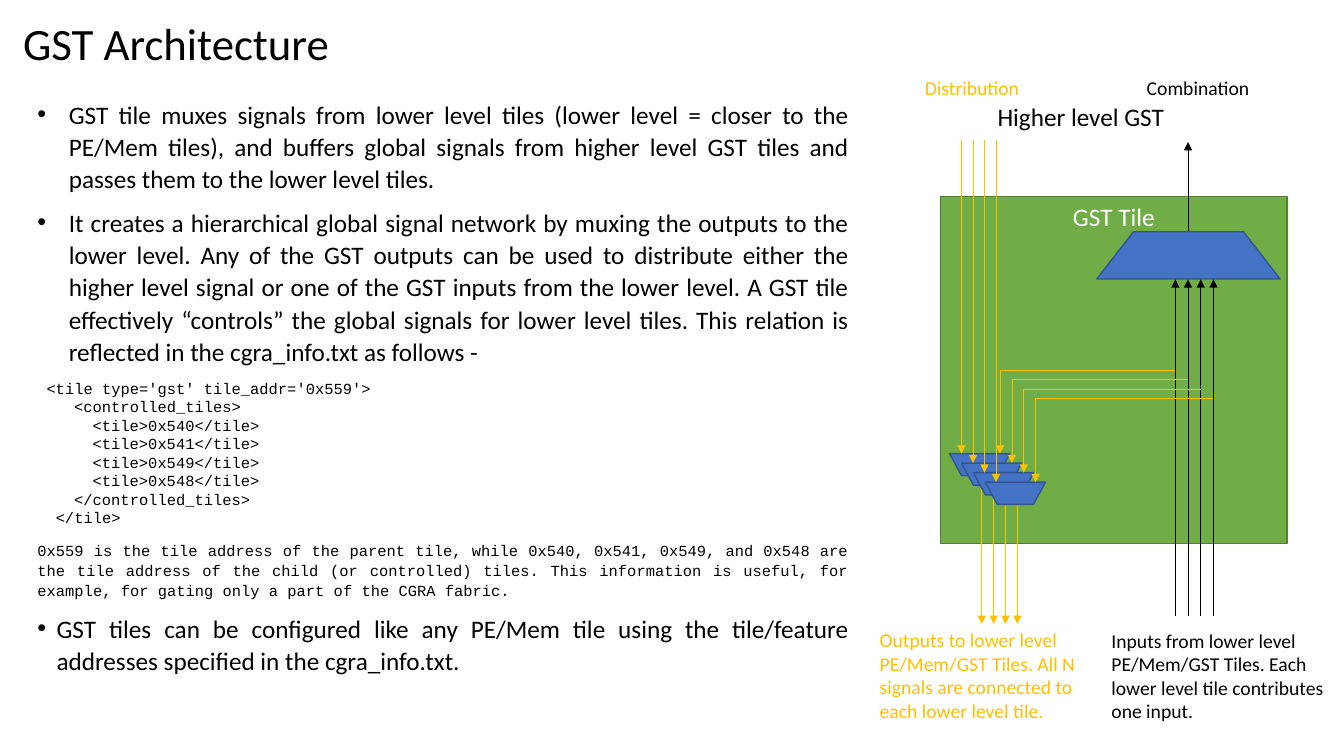
from pptx import Presentation
from pptx import util as u
from pptx.dml.color import RGBColor
from pptx.enum import shapes, text
from pptx.oxml.ns import qn
from lxml import etree

THEME = {
    "black": RGBColor.from_string("000000"),
    "white": RGBColor.from_string("FFFFFF"),
    "gold": RGBColor.from_string("FFC000"),
    "tile": (RGBColor.from_string("70AD47"), RGBColor.from_string("538035")),
    "mux": (RGBColor.from_string("4472C4"), RGBColor.from_string("325491")),
    "sans": "Calibri", "mono": "Courier New",
    "title": u.Pt(32), "body": u.Pt(18), "label": u.Pt(14), "code": u.Pt(11),
    "shape_line": u.Pt(1), "signal_line": u.Pt(0.5),
}
LEFT, CENTER, JUSTIFY = text.PP_ALIGN.LEFT, text.PP_ALIGN.CENTER, text.PP_ALIGN.JUSTIFY


def write(paragraph, words, size, color="black", font="sans", **layout):
    """Put one formatted run in a paragraph and apply its layout values."""
    run = paragraph.add_run()
    run.text = words
    for name, value in {"name": THEME[font], "size": THEME[size]}.items():
        setattr(run.font, name, value)
    run.font.color.rgb = THEME[color]
    for name, value in layout.items():
        setattr(paragraph, name, value)


def draw_signal(x1, y1, x2, y2, color, arrow=True):
    """Draw a thin signal line in cm, with an arrowhead at its end if asked."""
    line = slide.shapes.add_connector(shapes.MSO_CONNECTOR.STRAIGHT,
                                      u.Cm(x1), u.Cm(y1), u.Cm(x2), u.Cm(y2))
    line.line.color.rgb = THEME[color]
    line.line.width = THEME["signal_line"]
    properties = line._element.spPr
    if arrow:
        etree.SubElement(properties.find(qn("a:ln")), qn("a:tailEnd"), type="triangle")
    etree.SubElement(properties, qn("a:effectLst"))


presentation = Presentation()
presentation.slide_width, presentation.slide_height = u.Cm(33.87), u.Cm(19.05)
slide = presentation.slides.add_slide(presentation.slide_layouts[1])

# Title and body
title, body = slide.placeholders
for placeholder, box in ((title, (0.33, 0.28, 16.61, 1.63)), (body, (0.69, 2.31, 20.96, 14.91))):
    for name, value in zip(("left", "top", "width", "height"), box):
        setattr(placeholder, name, u.Cm(value))
    placeholder.text_frame.auto_size = text.MSO_AUTO_SIZE.NONE
    placeholder.text_frame.vertical_anchor = text.MSO_ANCHOR.TOP
write(title.text_frame.paragraphs[0], "GST Architecture", "title", alignment=LEFT)

# Each entry: words, size, font, hanging indent in cm, space before in points
body_paragraphs = [
    ("GST tile muxes signals from lower level tiles (lower level = closer to the PE/Mem tiles), "
     "and buffers global signals from higher level GST tiles and passes them to the lower level "
     "tiles.", "body", "sans", 0.79, 0),
    ("It creates a hierarchical global signal network by muxing the outputs to the lower level. "
     "Any of the GST outputs can be used to distribute either the higher level signal or one of "
     "the GST inputs from the lower level. A GST tile effectively “controls” the global signals "
     "for lower level tiles. This relation is reflected in the cgra_info.txt as follows -",
     "body", "sans", 0.79, 0),
    ("0x559 is the tile address of the parent tile, while 0x540, 0x541, 0x549, and 0x548 are the "
     "tile address of the child (or controlled) tiles. This information is useful, for example, "
     "for gating only a part of the CGRA fabric.", "code", "mono", 0, 116),
    ("GST tiles can be configured like any PE/Mem tile using the tile/feature addresses "
     "specified in the cgra_info.txt.", "body", "sans", 0.48, 0),
]
for index, (words, size, font, indent, before) in enumerate(body_paragraphs):
    frame = body.text_frame
    paragraph = frame.add_paragraph() if index else frame.paragraphs[0]
    write(paragraph, words, size, font=font, alignment=JUSTIFY, line_spacing=1.07,
          space_before=u.Pt(before), space_after=u.Pt(8))
    properties = paragraph._p.get_or_add_pPr()
    properties.set("marL", str(u.Cm(indent)))
    properties.set("indent", str(-u.Cm(indent)))
    if indent:
        etree.SubElement(properties, qn("a:buFont"), typeface="Arial")
        etree.SubElement(properties, qn("a:buChar"), char="•")
    else:
        etree.SubElement(properties, qn("a:buNone"))

# GST tile, combining mux and the stack of distributing muxes
MANUAL = shapes.MSO_SHAPE.FLOWCHART_MANUAL_OPERATION
STACK, INPUT_STEP, LAYER_X, LAYER_Y = 4, 0.32, 0.3, 0.24
blocks = [(shapes.MSO_SHAPE.RECTANGLE, "tile", 0, (23.7, 4.95, 8.74, 8.74)),
          (MANUAL, "mux", 180, (27.64, 5.84, 4.62, 1.19))]
blocks += [(MANUAL, "mux", 0, (23.93 + LAYER_X * layer, 11.43 + LAYER_Y * layer, 1.52, 0.56))
           for layer in range(STACK)]
for index, (kind, colors, rotation, box) in enumerate(blocks):
    layer = index - 2
    if layer >= 0:
        draw_signal(24.74 + LAYER_X * layer, 11.86 + LAYER_Y * layer,
                    24.74 + LAYER_X * layer, 15.72, "gold")
    block = slide.shapes.add_shape(kind, *map(u.Cm, box))
    block.rotation = rotation
    block.shadow.inherit = False
    block.fill.solid()
    block.fill.fore_color.rgb, block.line.color.rgb = THEME[colors]
    block.line.width = THEME["shape_line"]
    if colors == "tile":
        block.text_frame.vertical_anchor = text.MSO_ANCHOR.TOP
        write(block.text_frame.paragraphs[0], "GST Tile", "body", "white", alignment=CENTER)
    if layer >= 0:
        mux_top, input_x = 11.43 + LAYER_Y * layer, 29.62 + INPUT_STEP * layer
        higher_x, branch_x, branch_y = 24.23 + 0.29 * layer, 25.2 + LAYER_X * layer, mux_top - 2.11
        draw_signal(input_x, 15.52, input_x, 7.04, "black")
        draw_signal(higher_x, 3.53, higher_x, mux_top, "gold")
        draw_signal(branch_x, branch_y, branch_x, mux_top, "gold")
        draw_signal(branch_x, branch_y, input_x, branch_y, "gold", arrow=False)
draw_signal(29.94, 5.82, 29.94, 3.58, "black")

# Labels
labels = [
    ("Distribution", "label", "gold", False, (23.06, 1.78, 2.92, 0.86)),
    ("Combination", "label", "black", False, (28.65, 1.78, 3.12, 0.86)),
    ("Higher level GST", "body", "black", True, (24.89, 2.44, 5.64, 1.02)),
    ("Outputs to lower level PE/Mem/GST Tiles. All N signals are connected to each lower level "
     "tile.", "label", "gold", True, (21.92, 15.7, 6.1, 2.64)),
    ("Inputs from lower level PE/Mem/GST Tiles. Each lower level tile contributes one input.",
     "label", "black", True, (27.76, 15.72, 6.1, 2.64)),
]
for words, size, color, wrap, box in labels:
    label = slide.shapes.add_textbox(*map(u.Cm, box))
    label.text_frame.word_wrap = wrap
    write(label.text_frame.paragraphs[0], words, size, color)

# Code listing, indented by whole characters
CHARACTER = u.Pt(6.6)
code_lines = [(1, "<tile type='gst' tile_addr='0x559'>"), (4, "<controlled_tiles>")]
code_lines += [(6, f"<tile>{address}</tile>") for address in ("0x540", "0x541", "0x549", "0x548")]
code_lines += [(4, "</controlled_tiles>"), (2, "</tile>")]
listing = slide.shapes.add_textbox(u.Cm(0.69), u.Cm(9.42), u.Cm(16.94), u.Cm(4.01))
listing.text_frame.word_wrap = True
for index, (depth, words) in enumerate(code_lines):
    frame = listing.text_frame
    paragraph = frame.add_paragraph() if index else frame.paragraphs[0]
    write(paragraph, words, "code", font="mono")
    paragraph._p.get_or_add_pPr().set("marL", str(depth * CHARACTER))

presentation.save("out.pptx")
